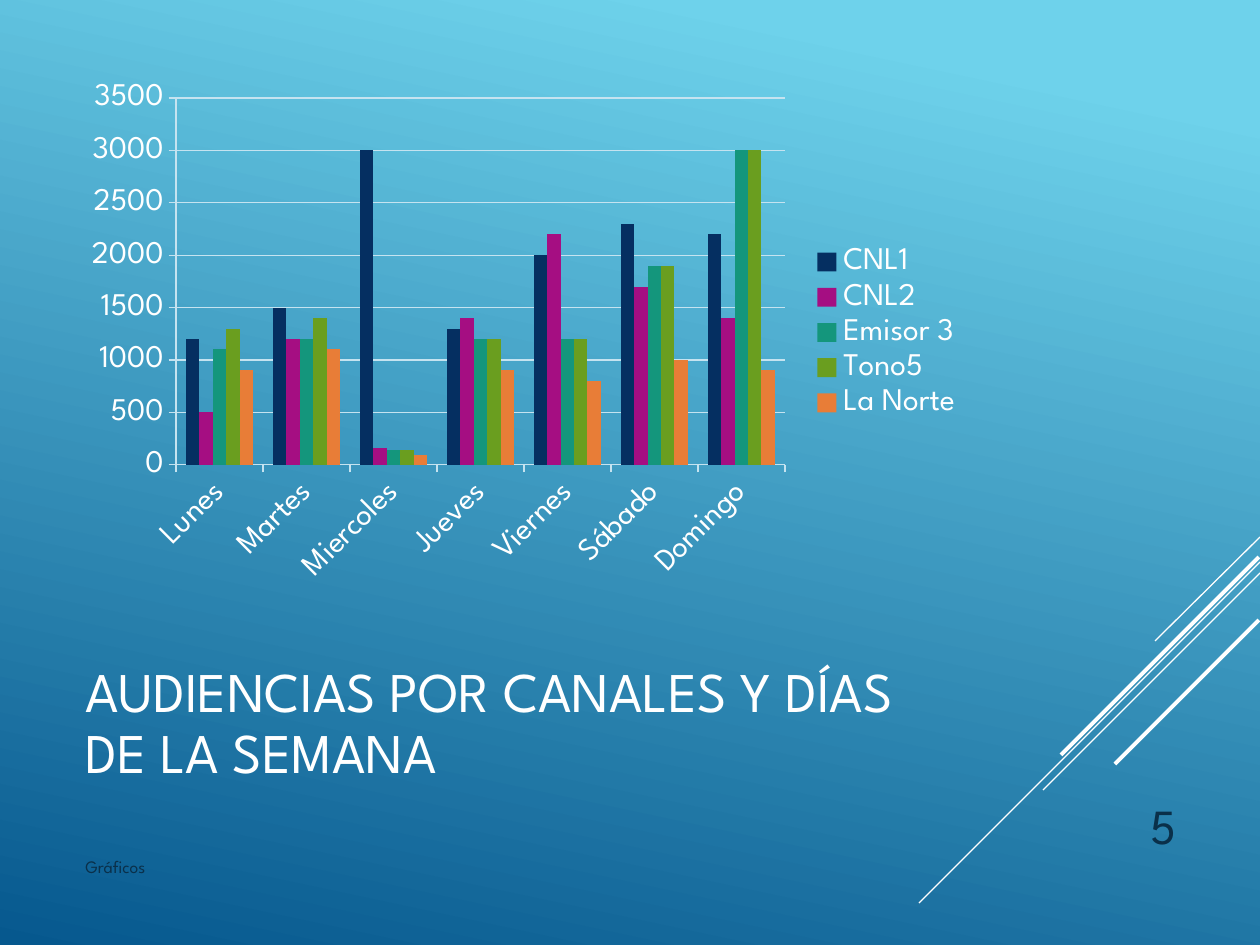
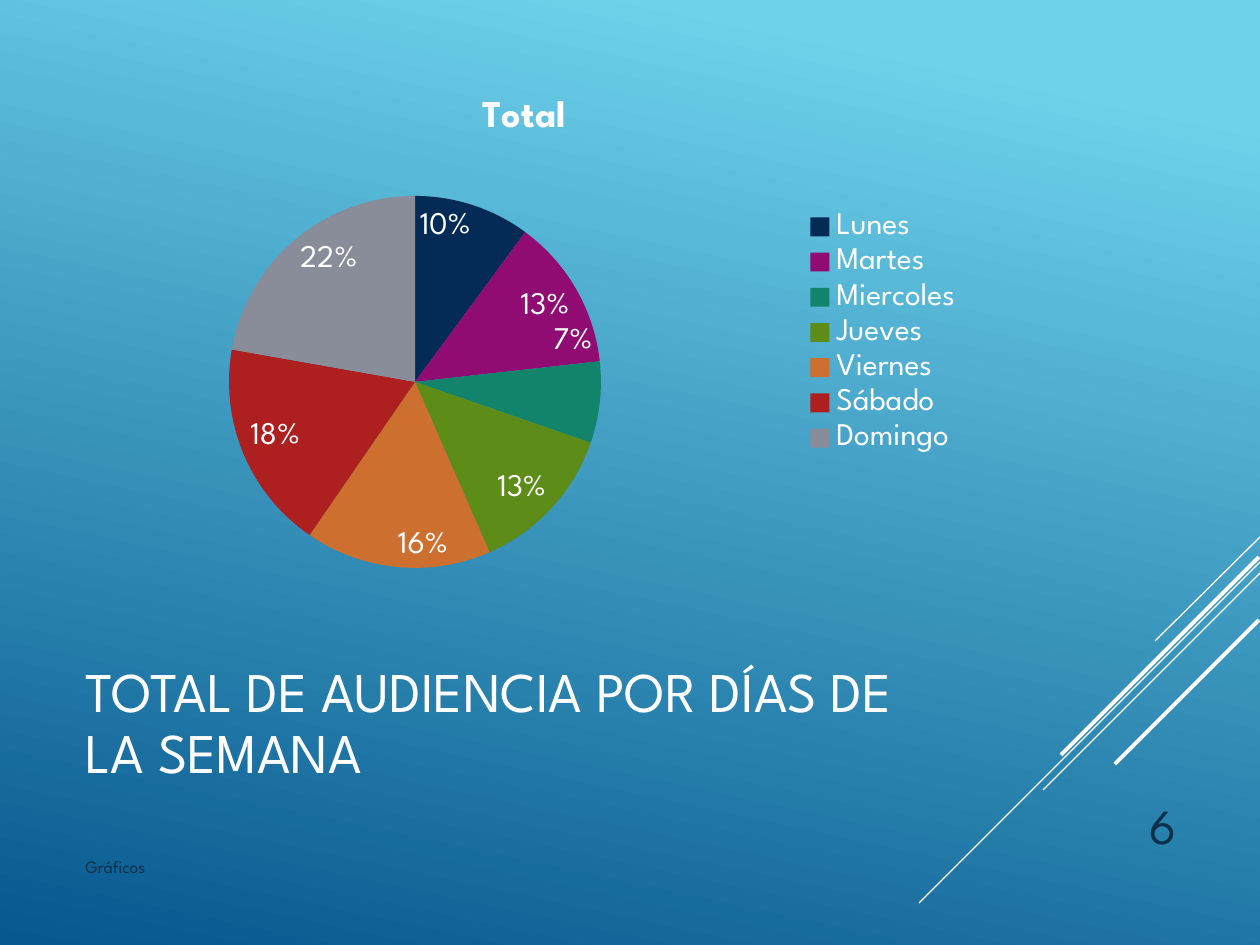
"""Two audience slides: a column chart by channel and a pie chart by day."""
from dataclasses import dataclass

from lxml import etree
from pptx import Presentation
from pptx.chart.chart import Chart
from pptx.chart.data import CategoryChartData
from pptx.dml.color import RGBColor
from pptx.enum.chart import (XL_CHART_TYPE, XL_LABEL_POSITION,
                             XL_LEGEND_POSITION, XL_TICK_MARK)
from pptx.enum.shapes import MSO_CONNECTOR
from pptx.enum.text import MSO_ANCHOR, PP_ALIGN
from pptx.oxml.ns import qn
from pptx.slide import Slide
from pptx.util import Emu, Pt

FONT = "League Spartan"
WHITE, INK, AXIS = "FFFFFF", "0A304A", "C5E3F0"
SKY, DEEP = "6ED2EB", "06588E"
DAYS = ["Lunes", "Martes", "Miercoles", "Jueves", "Viernes", "Sábado", "Domingo"]
DAY_SHARES = [10, 13, 7, 13, 16, 18, 22]
DAY_COLORS = ["042A56", "900B72", "12846C", "5D8C19", "CD6F2F", "AE1F20", "898C99"]


@dataclass(frozen=True)
class Box:
    """A rectangle in pixels."""
    left: int
    top: int
    width: int
    height: int

    def emu(self) -> tuple[Emu, ...]:
        """Return the four lengths in EMU."""
        return tuple(px(v) for v in (self.left, self.top, self.width, self.height))


@dataclass(frozen=True)
class Stroke:
    """A diagonal line of the corner decoration, in pixels."""
    x1: int
    y1: int
    x2: int
    y2: int
    weight: float


@dataclass(frozen=True)
class Channel:
    """One channel with its daily audience."""
    name: str
    color: str
    values: tuple[int, ...]


CHART_BOX = Box(73, 73, 903, 519)
TITLE_BOX = Box(73, 620, 903, 210)
FOOTER_BOX = Box(73, 850, 801, 50)
NUMBER_BOX = Box(1071, 769, 118, 92)
STROKES = [
    Stroke(1260, 537, 1155, 641, 0.75),
    Stroke(1260, 562, 919, 903, 0.75),
    Stroke(1260, 573, 1043, 790, 0.75),
    Stroke(1259, 557, 1061, 755, 2.25),
    Stroke(1259, 620, 1115, 764, 2.25),
]
CHANNELS = [
    Channel("CNL1", "052F61", (1200, 1500, 3000, 1300, 2000, 2300, 2200)),
    Channel("CNL2", "A50E82", (500, 1200, 160, 1400, 2200, 1700, 1400)),
    Channel("Emisor 3", "14967C", (1100, 1200, 140, 1200, 1200, 1900, 3000)),
    Channel("Tono5", "6A9E1F", (1300, 1400, 140, 1200, 1200, 1900, 3000)),
    Channel("La Norte", "E87D37", (900, 1100, 90, 900, 800, 1000, 900)),
]


def px(value: float) -> Emu:
    """Turn pixels into EMU."""
    return Emu(round(value * 914400 / 126))


def rgb(color: str) -> RGBColor:
    """Turn a hex string into a colour."""
    return RGBColor.from_string(color)


def add_text(slide: Slide, box: Box, text: str, size: int, color: str,
             anchor: MSO_ANCHOR = MSO_ANCHOR.TOP,
             align: PP_ALIGN = PP_ALIGN.LEFT, spacing: float = 1.0) -> None:
    """Add a wrapped one-paragraph text box."""
    frame = slide.shapes.add_textbox(*box.emu()).text_frame
    frame.word_wrap = True
    frame.vertical_anchor = anchor
    paragraph = frame.paragraphs[0]
    paragraph.alignment = align
    paragraph.line_spacing = spacing
    run = paragraph.add_run()
    run.text = text
    run.font.name, run.font.size = FONT, Pt(size)
    run.font.color.rgb = rgb(color)


def add_stroke(slide: Slide, stroke: Stroke) -> None:
    """Draw one white decoration line without shadow."""
    line = slide.shapes.add_connector(
        MSO_CONNECTOR.STRAIGHT, px(stroke.x1), px(stroke.y1),
        px(stroke.x2), px(stroke.y2))
    line.line.color.rgb = rgb(WHITE)
    line.line.width = Pt(stroke.weight)
    etree.SubElement(line._element.spPr, qn("a:effectLst"))


def add_base_slide(prs: Presentation, title: str, number: int) -> Slide:
    """Add a slide with background, decoration, title, footer and number."""
    slide = prs.slides.add_slide(prs.slide_layouts[6])
    fill = slide.background.fill
    fill.gradient()
    fill.gradient_angle = 360 - 102
    for stop, position, color in zip(fill.gradient_stops, (0.1, 1.0), (SKY, DEEP)):
        stop.position = position
        stop.color.rgb = rgb(color)
    for stroke in STROKES:
        add_stroke(slide, stroke)
    add_text(slide, TITLE_BOX, title, 32, WHITE, MSO_ANCHOR.MIDDLE, spacing=0.9)
    add_text(slide, FOOTER_BOX, "Gráficos", 10, INK)
    add_text(slide, NUMBER_BOX, str(number), 28, INK, MSO_ANCHOR.BOTTOM, PP_ALIGN.RIGHT)
    return slide


def make_layout(**settings: str | float) -> etree._Element:
    """Build a manual chart layout from its settings, in schema order."""
    layout = etree.Element(qn("c:layout"))
    manual = etree.SubElement(layout, qn("c:manualLayout"))
    for name, value in settings.items():
        etree.SubElement(manual, qn(f"c:{name}")).set("val", str(value))
    return layout


def place_plot(chart: Chart, plot: Box) -> None:
    """Fix the inner plot area at a pixel box of the slide."""
    area = chart._chartSpace.chart.plotArea
    for old in area.findall(qn("c:layout")):
        area.remove(old)
    area.insert(0, make_layout(
        layoutTarget="inner", xMode="edge", yMode="edge",
        x=round((plot.left - CHART_BOX.left) / CHART_BOX.width, 4),
        y=round((plot.top - CHART_BOX.top) / CHART_BOX.height, 4),
        w=round(plot.width / CHART_BOX.width, 4),
        h=round(plot.height / CHART_BOX.height, 4)))


def add_chart(slide: Slide, kind: XL_CHART_TYPE, data: CategoryChartData,
              plot: Box) -> Chart:
    """Add a chart with the shared font, legend and plot placement."""
    chart = slide.shapes.add_chart(kind, *CHART_BOX.emu(), data).chart
    chart.font.name, chart.font.size = FONT, Pt(18)
    chart.font.color.rgb = rgb(WHITE)
    chart.has_title = False
    chart.has_legend = True
    chart.legend.position = XL_LEGEND_POSITION.RIGHT
    chart.legend.include_in_layout = False
    place_plot(chart, plot)
    return chart


def add_channel_columns(slide: Slide) -> None:
    """Add the clustered columns of each channel by day."""
    data = CategoryChartData()
    data.categories = DAYS
    for channel in CHANNELS:
        data.add_series(channel.name, channel.values)
    chart = add_chart(slide, XL_CHART_TYPE.COLUMN_CLUSTERED, data,
                      Box(176, 98, 609, 367))
    columns = chart.plots[0]
    columns.gap_width, columns.overlap = 150, 0
    columns.vary_by_categories = False
    for series, channel in zip(columns.series, CHANNELS):
        series.format.fill.solid()
        series.format.fill.fore_color.rgb = rgb(channel.color)
        series.invert_if_negative = False

    days, audience = chart.category_axis, chart.value_axis
    audience.minimum_scale, audience.maximum_scale = 0, 3500
    audience.major_unit = 500
    audience.has_major_gridlines = True
    for axis in (days, audience):
        axis.major_tick_mark = XL_TICK_MARK.OUTSIDE
        axis.tick_labels.font.size = Pt(18)
    for part in (days, audience, audience.major_gridlines):
        part.format.line.color.rgb = rgb(AXIS)
        part.format.line.width = Pt(0.75)
    days._element.find(qn("c:txPr")).find(qn("a:bodyPr")).set("rot", "-2700000")


def add_day_pie(slide: Slide) -> None:
    """Add the pie of the audience share by day."""
    data = CategoryChartData()
    data.categories = DAYS
    data.add_series("Total", DAY_SHARES)
    chart = add_chart(slide, XL_CHART_TYPE.PIE, data, Box(229, 196, 372, 372))
    chart.has_title = True
    title = chart.chart_title.text_frame
    title.text = "Total"
    font = title.paragraphs[0].runs[0].font
    font.name, font.size, font.bold = FONT, Pt(21.6), True
    font.color.rgb = rgb(WHITE)

    pie = chart.plots[0]
    pie.vary_by_categories = True
    series = pie.series[0]
    for index, color in enumerate(DAY_COLORS):
        fill = series.points[index].format.fill
        fill.solid()
        fill.fore_color.rgb = rgb(color)
    labels = series.data_labels
    labels.show_percentage, labels.show_value = True, False
    labels.number_format, labels.number_format_is_linked = "0%", False
    labels.position = XL_LABEL_POSITION.INSIDE_END
    labels.font.name, labels.font.size = FONT, Pt(18)
    labels.font.color.rgb = rgb(WHITE)
    raise_label(series.points[DAYS.index("Miercoles")], 46)


def raise_label(point, pixels: int) -> None:
    """Move the percentage label of a point upwards."""
    label = point.data_label
    label.font.size = Pt(18)
    label.font.name = FONT
    label.font.color.rgb = rgb(WHITE)
    label.position = XL_LABEL_POSITION.INSIDE_END
    element = label._get_or_add_dLbl()
    element.find(qn("c:showVal")).set("val", "0")
    element.find(qn("c:showPercent")).set("val", "1")
    element.insert(1, make_layout(x=0, y=round(-pixels / CHART_BOX.height, 4)))


def main() -> None:
    """Build and save both slides."""
    prs = Presentation()
    prs.slide_width, prs.slide_height = px(1260), px(945)
    add_channel_columns(add_base_slide(
        prs, "AUDIENCIAS POR CANALES Y DÍAS DE LA SEMANA", 5))
    add_day_pie(add_base_slide(
        prs, "TOTAL DE AUDIENCIA POR DÍAS DE LA SEMANA", 6))
    prs.save("out.pptx")


main()
